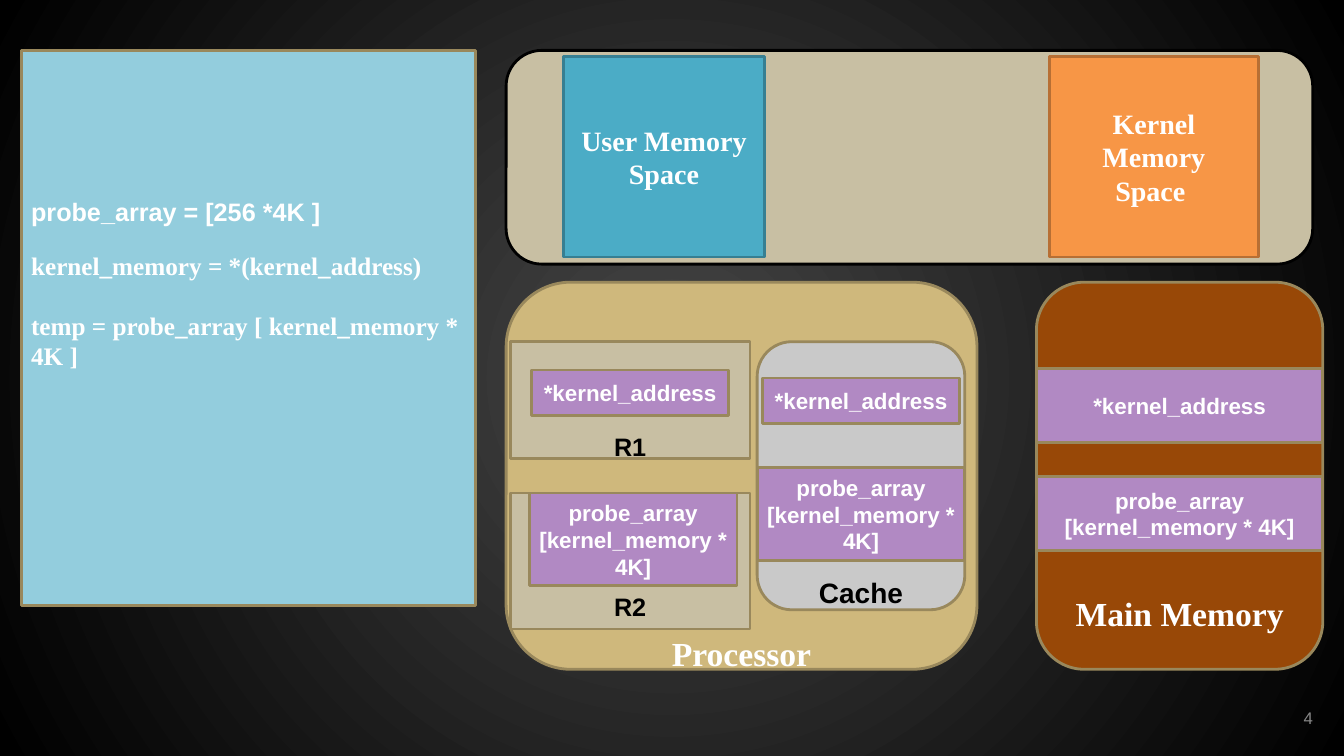
from pptx import Presentation
from pptx.dml.color import RGBColor
from pptx.enum.shapes import MSO_SHAPE as Shape
from pptx.enum.text import MSO_ANCHOR as Anchor, PP_ALIGN as Align
from pptx.oxml import parse_xml
from pptx.util import Inches, Pt

WHITE = RGBColor(0xFF, 0xFF, 0xFF)
BLACK = RGBColor(0x00, 0x00, 0x00)
GREY = RGBColor(0x88, 0x88, 0x88)
SILVER = RGBColor(0xC9, 0xC9, 0xC9)
SKY = RGBColor(0x93, 0xCD, 0xDD)
TEAL = RGBColor(0x4B, 0xAC, 0xC6)
DARK_TEAL = RGBColor(0x37, 0x7F, 0x92)
ORANGE = RGBColor(0xF7, 0x96, 0x46)
DARK_ORANGE = RGBColor(0xB7, 0x6F, 0x34)
STONE = RGBColor(0xC8, 0xBF, 0xA3)
GOLD = RGBColor(0xCF, 0xB8, 0x7C)
BROWN = RGBColor(0x98, 0x48, 0x07)
PURPLE = RGBColor(0xB1, 0x89, 0xC3)
OLIVE = RGBColor(0x99, 0x88, 0x5C)
SANS, SERIF = "Arial", "Times New Roman"

CODE_BOX = (0.21, 0.5, 4.51, 5.51)
CODE_TOP = 1.45
CODE = [
    ("probe_array = [256 *4K ]", SANS, 0),
    ("kernel_memory = *(kernel_address)", SERIF, 17),
    ("temp = probe_array [ kernel_memory * 4K ]", SERIF, 21),
]

CONTAINERS = [
    (Shape.ROUNDED_RECTANGLE, (5.02, 0.5, 8, 2.12), STONE, BLACK),
    (Shape.ROUNDED_RECTANGLE, (5.02, 2.8, 4.67, 3.84), GOLD, OLIVE),
    (Shape.ROUNDED_RECTANGLE, (10.28, 2.8, 2.84, 3.84), BROWN, OLIVE),
    (Shape.ROUNDED_RECTANGLE, (7.51, 3.39, 2.06, 2.66), SILVER, OLIVE),
    (Shape.RECTANGLE, (5.06, 3.39, 2.38, 1.16), STONE, OLIVE),
    (Shape.RECTANGLE, (5.06, 4.89, 2.38, 1.35), STONE, OLIVE),
]

SPACES = [
    ((5.59, 0.56, 1.99, 1.99), TEAL, DARK_TEAL, ["User Memory Space"]),
    ((10.41, 0.56, 2.07, 1.99), ORANGE, DARK_ORANGE, ["Kernel Memory", "Space "]),
]

ADDRESS = ["*kernel_address"]
PROBE = ["probe_array", "[kernel_memory * 4K]"]
DATA = [
    ((10.28, 3.66, 2.84, 0.73), ADDRESS),
    ((7.56, 3.75, 1.96, 0.45), ADDRESS),
    ((5.27, 3.67, 1.96, 0.45), ADDRESS),
    ((10.28, 4.73, 2.84, 0.73), PROBE),
    ((7.51, 4.64, 2.06, 0.92), PROBE),
    ((5.25, 4.89, 2.06, 0.92), PROBE),
]

LABEL_HEIGHT = 0.4
LABELS = [
    ("Processor", 5.02, 4.67, 6.48, 24, SERIF, WHITE),
    ("Main Memory", 10.28, 2.84, 6.08, 24, SERIF, WHITE),
    ("Cache", 7.51, 2.06, 5.88, 20, SANS, BLACK),
    ("R1", 5.06, 2.38, 4.43, 18, SANS, BLACK),
    ("R2", 5.06, 2.38, 6.02, 18, SANS, BLACK),
]

BACKGROUND = """
<p:bg xmlns:p="http://schemas.openxmlformats.org/presentationml/2006/main"
      xmlns:a="http://schemas.openxmlformats.org/drawingml/2006/main">
  <p:bgPr>
    <a:gradFill rotWithShape="1">
      <a:gsLst>
        <a:gs pos="0"><a:srgbClr val="3F3F3F"/></a:gs>
        <a:gs pos="10000"><a:srgbClr val="3F3F3F"/></a:gs>
        <a:gs pos="100000"><a:srgbClr val="000000"/></a:gs>
      </a:gsLst>
      <a:path path="circle">
        <a:fillToRect l="50000" t="50000" r="50000" b="50000"/>
      </a:path>
    </a:gradFill>
    <a:effectLst/>
  </p:bgPr>
</p:bg>"""


def add_box(slide, kind, box, fill, outline):
    shape = slide.shapes.add_shape(kind, *map(Inches, box))
    shape.shadow.inherit = False
    shape.fill.solid()
    shape.fill.fore_color.rgb = fill
    shape.line.color.rgb = outline
    shape.line.width = Pt(2)
    return shape


def write(shape, lines, size, font, color, align=Align.CENTER, bold=True):
    frame = shape.text_frame
    frame.word_wrap = True
    frame.vertical_anchor = Anchor.MIDDLE
    frame.text = "\n".join(lines)
    for paragraph in frame.paragraphs:
        paragraph.alignment = align
        paragraph.font.size = Pt(size)
        paragraph.font.name = font
        paragraph.font.bold = bold
        paragraph.font.color.rgb = color
    return frame


def add_text(slide, box, *style, **options):
    return write(slide.shapes.add_textbox(*map(Inches, box)), *style, **options)


def main():
    presentation = Presentation()
    presentation.slide_width = Inches(13.33)
    presentation.slide_height = Inches(7.5)
    slide = presentation.slides.add_slide(presentation.slide_layouts[6])
    slide.element.cSld.insert(0, parse_xml(BACKGROUND))

    add_text(slide, (10.01, 6.92, 3.11, 0.4), ["4"], 12, SANS, GREY,
             align=Align.RIGHT, bold=False)

    code_box = add_box(slide, Shape.RECTANGLE, CODE_BOX, SKY, OLIVE)
    frame = write(code_box, [text for text, _, _ in CODE], 18, SERIF, WHITE,
                  align=Align.LEFT)
    frame.vertical_anchor = Anchor.TOP
    frame.margin_top = Inches(CODE_TOP)
    for paragraph, (_, font, gap) in zip(frame.paragraphs, CODE):
        paragraph.font.name = font
        paragraph.space_before = Pt(gap)

    for container in CONTAINERS:
        add_box(slide, *container)
    for box, fill, outline, lines in SPACES:
        space = add_box(slide, Shape.RECTANGLE, box, fill, outline)
        write(space, lines, 20, SERIF, WHITE)
    for box, lines in DATA:
        write(add_box(slide, Shape.RECTANGLE, box, PURPLE, OLIVE), lines, 16, SANS, WHITE)
    for text, left, width, middle, size, font, color in LABELS:
        box = (left, middle - LABEL_HEIGHT / 2, width, LABEL_HEIGHT)
        frame = add_text(slide, box, [text], size, font, color)
        frame.margin_top = frame.margin_bottom = 0

    presentation.save("out.pptx")


if __name__ == "__main__":
    main()
